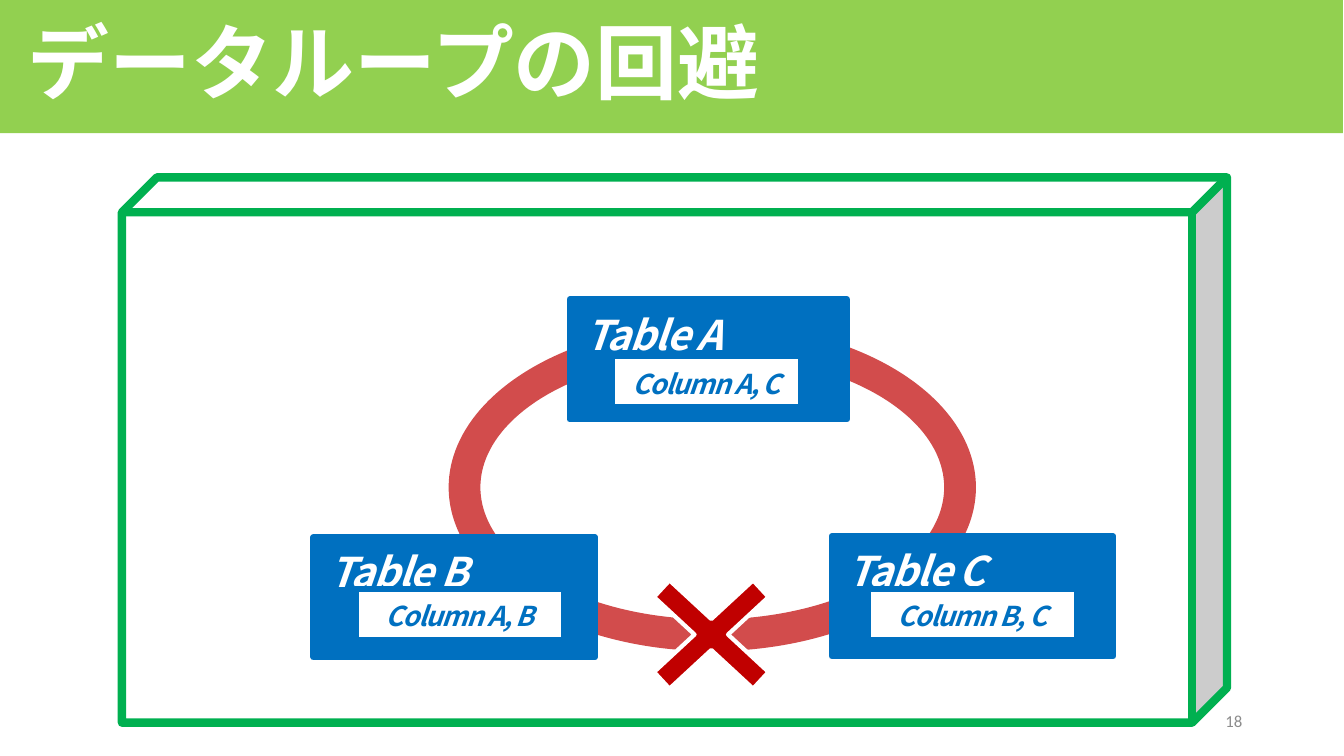
from lxml.etree import SubElement
from pptx import Presentation
from pptx.dml.color import RGBColor
from pptx.enum.shapes import MSO_SHAPE as SHAPE
from pptx.enum.text import MSO_ANCHOR as ANCHOR, PP_ALIGN as ALIGN
from pptx.oxml.ns import qn
from pptx.util import Inches, Pt

JAPANESE_FONT = "Noto Sans CJK JP"
BLUE, RED, GREEN, LIME = "0070C0", "C00000", "00B050", "92D050"
WHITE, GREY = "FFFFFF", "8C8C8C"


def color(hex_code):
    """Turn a hex string into a colour."""
    return RGBColor.from_string(hex_code)


def write(target, text, size, ink, font=JAPANESE_FONT, bold=False, italic=False,
          spacing=None, line_spacing=None, align=ALIGN.LEFT, anchor=ANCHOR.MIDDLE,
          left=0.1, top=0.05):
    """Put one formatted line of text into a shape or text box."""
    frame = target.text_frame
    frame.word_wrap = True
    frame.vertical_anchor = anchor
    frame.margin_left, frame.margin_top = Inches(left), Inches(top)
    line = frame.paragraphs[0]
    line.alignment = align
    line.line_spacing = line_spacing
    run = line.add_run()
    run.text = text
    run.font.name, run.font.size = font, Pt(size)
    run.font.bold, run.font.italic = bold, italic
    run.font.color.rgb = color(ink)
    properties = run.font._element
    SubElement(properties, qn("a:ea")).set("typeface", font)
    if spacing is not None:
        properties.set("spc", str(spacing * 100))


def draw(slide, preset, box, fill, outline=None, width=0, adjust=None, opacity=None):
    """Draw a preset shape with a solid fill and an optional outline."""
    shape = slide.shapes.add_shape(preset, *map(Inches, box))
    shape.shadow.inherit = False
    shape.fill.solid()
    shape.fill.fore_color.rgb = color(fill)
    if outline:
        shape.line.color.rgb = color(outline)
        shape.line.width = Pt(width)
    else:
        shape.line.fill.background()
    if adjust is not None:
        shape.adjustments[0] = adjust
    if opacity is not None:
        solid = shape._element.spPr.find(qn("a:solidFill"))
        SubElement(solid[0], qn("a:alpha")).set("val", str(opacity * 1000))
    return shape


def add_label(slide, text, box, size, fill, ink, **layout):
    """Draw a blue-edged box with a bold italic label."""
    label = draw(slide, SHAPE.RECTANGLE, box, fill, BLUE, 4.5)
    write(label, text, size, ink, bold=True, italic=True, spacing=-1,
          line_spacing=1.1, **layout)


def add_title(slide, text):
    """Draw the title band across the top."""
    band = draw(slide, SHAPE.RECTANGLE, (-0.01, 0, 13.33, 1.32), LIME)
    write(band, text, 58.5, WHITE, bold=True, line_spacing=0.9, left=0.28)


def add_page_number(slide, number):
    """Write the page number at the lower right."""
    page = slide.shapes.add_textbox(*map(Inches, (9.42, 6.95, 3, 0.4)))
    write(page, number, 12, GREY, font="Calibri", align=ALIGN.RIGHT)


def main():
    """Build the slide and save it."""
    deck = Presentation()
    deck.slide_width, deck.slide_height = Inches(13.33), Inches(7.5)
    slide = deck.slides.add_slide(deck.slide_layouts[6])

    add_title(slide, "データループの回避")
    draw(slide, SHAPE.CUBE, (1.21, 1.76, 10.96, 5.41), WHITE, GREEN, 6, adjust=0.064)
    add_page_number(slide, "18")
    draw(slide, SHAPE.DONUT, (4.45, 3.21, 5.23, 3.25), RED, adjust=0.097, opacity=70)

    tables = [
        ("Table A", (5.65, 2.97, 2.75, 1.19), "Column A, C", (6.07, 3.53, 1.88, 0.51)),
        ("Table B", (3.11, 5.33, 2.79, 1.19), "Column A, B", (3.53, 5.84, 2.07, 0.51)),
        ("Table C", (8.25, 5.32, 2.79, 1.19), "Column B, C", (8.61, 5.84, 2.07, 0.51)),
    ]
    for table, table_box, _, _ in tables:
        add_label(slide, table, table_box, 29.2, BLUE, WHITE,
                  anchor=ANCHOR.TOP, left=0.16)
    draw(slide, SHAPE.MATH_MULTIPLY, (6.11, 5.42, 1.89, 1.75), RED, WHITE, 3,
         adjust=0.129)
    for _, _, columns, columns_box in tables:
        add_label(slide, columns, columns_box, 19.5, WHITE, BLUE, align=ALIGN.CENTER)

    deck.save("out.pptx")


if __name__ == "__main__":
    main()
